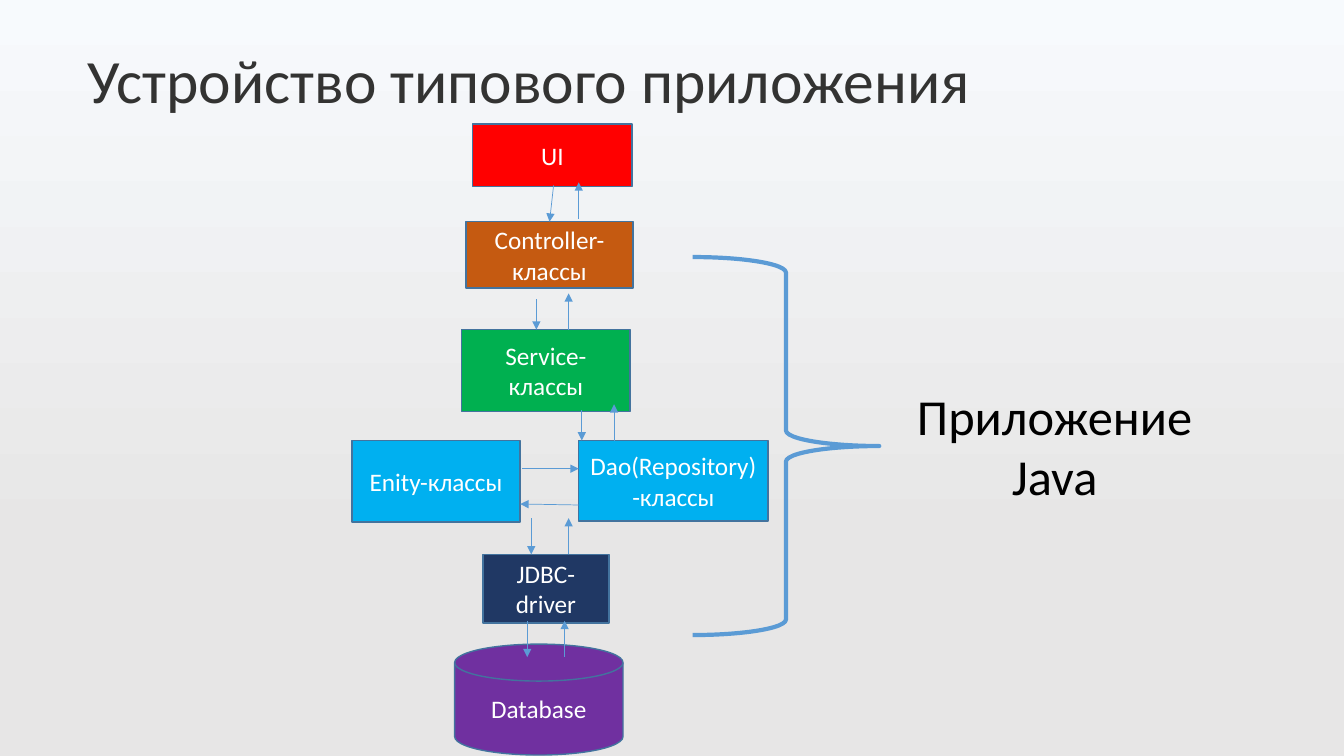
from typing import NamedTuple

from lxml import etree
from pptx import Presentation
from pptx.dml.color import RGBColor
from pptx.enum.shapes import MSO_CONNECTOR, MSO_SHAPE
from pptx.enum.text import MSO_ANCHOR, MSO_AUTO_SIZE, PP_ALIGN
from pptx.oxml.ns import qn
from pptx.util import Inches, Pt

RECT = MSO_SHAPE.RECTANGLE
DISK = MSO_SHAPE.FLOWCHART_MAGNETIC_DISK
BRACE = MSO_SHAPE.RIGHT_BRACE
LINE = MSO_CONNECTOR.STRAIGHT
LEFT, MID = PP_ALIGN.LEFT, PP_ALIGN.CENTER
TOP, CENTER = MSO_ANCHOR.TOP, MSO_ANCHOR.MIDDLE

WHITE = RGBColor(0xFF, 0xFF, 0xFF)
BLACK = RGBColor(0, 0, 0)
INK = RGBColor(0x33, 0x33, 0x32)
EDGE = RGBColor(0x43, 0x73, 0x9E)
BLUE = RGBColor(0x5B, 0x9B, 0xD5)
RED = RGBColor(0xFF, 0, 0)
RUST = RGBColor(0xC5, 0x5A, 0x11)
GREEN = RGBColor(0, 0xB0, 0x50)
SKY = RGBColor(0, 0xB0, 0xF0)
NAVY = RGBColor(0x20, 0x38, 0x64)
PLUM = RGBColor(0x70, 0x30, 0xA0)
PALE = RGBColor(0xF7, 0xFA, 0xFD)
GREY = RGBColor(0xE7, 0xE6, 0xE6)

deck = Presentation()
deck.slide_width, deck.slide_height = Inches(13.33), Inches(7.5)
slide = deck.slides.add_slide(deck.slide_layouts[6])

# The grid: 100 columns by 100 rows
COL, ROW = deck.slide_width / 100, deck.slide_height / 100


class Area(NamedTuple):
    x: float
    y: float
    w: float
    h: float

    def emu(self) -> tuple[int, int, int, int]:
        return (round(self.x * COL), round(self.y * ROW),
                round(self.w * COL), round(self.h * ROW))


class Layer(NamedTuple):
    name: str
    fill: RGBColor
    area: Area
    kind: MSO_SHAPE = RECT


class Arrow(NamedTuple):
    x: float
    y: float
    to_x: float
    to_y: float


def write(shape, text: str, *, size: float = 18, color: RGBColor = WHITE,
          align: PP_ALIGN = MID, anchor: MSO_ANCHOR = CENTER,
          wrap: bool = True, space: float = 1) -> None:
    frame = shape.text_frame
    frame.word_wrap, frame.vertical_anchor = wrap, anchor
    par = frame.paragraphs[0]
    par.text, par.alignment, par.line_spacing = text, align, space
    for run in par.runs:
        run.font.name, run.font.size = "Calibri", Pt(size)
        run.font.color.rgb = color


def draw_layer(layer: Layer) -> None:
    box = slide.shapes.add_shape(layer.kind, *layer.area.emu())
    box.shadow.inherit = False
    box.fill.solid()
    box.fill.fore_color.rgb = layer.fill
    box.line.color.rgb, box.line.width = EDGE, Pt(1)
    write(box, layer.name)


def draw_arrow(arrow: Arrow) -> None:
    link = slide.shapes.add_connector(
        LINE, round(arrow.x * COL), round(arrow.y * ROW),
        round(arrow.to_x * COL), round(arrow.to_y * ROW))
    link.line.color.rgb, link.line.width = BLUE, Pt(0.5)
    etree.SubElement(link.line._get_or_add_ln(), qn("a:tailEnd"), type="triangle")
    etree.SubElement(link._element.spPr, qn("a:effectLst"))


def upward(x: float, y: float) -> Arrow:
    return Arrow(x, y, x, y - STEP)


def downward(x: float, y: float, size: float) -> Arrow:
    return Arrow(x, y, x, y + size)


# Background
back = slide.background.fill
back.gradient()
back.gradient_angle = 270
for stop, color, place in zip(back.gradient_stops, (PALE, GREY), (0, 0.72)):
    stop.color.rgb, stop.position = color, place

# Title
title = slide.shapes.add_textbox(*Area(6.53, 6.67, 71.94, 19.2).emu())
frame = title.text_frame
frame.margin_left = frame.margin_right = frame.margin_top = frame.margin_bottom = 0
write(title, "Устройство типового приложения", size=44, color=INK,
      align=LEFT, anchor=TOP, space=0.9)

# Layers of the application
WIDE, TALL = 12.53, 10.8
LAYERS = [
    Layer("Database", PLUM, Area(33.83, 85.2, WIDE, 14.67), DISK),
    Layer("Enity-классы", SKY, Area(26.18, 58.27, WIDE, TALL)),
    Layer("Dao(Repository)-классы", SKY, Area(43.06, 58.27, 14.1, 10.67)),
    Layer("Service-классы", GREEN, Area(34.36, 43.6, WIDE, TALL)),
    Layer("Controller-классы", RUST, Area(34.66, 29.33, 12.45, 8.8)),
    Layer("UI", RED, Area(35.18, 16.4, 11.85, 8.27)),
    Layer("JDBC-driver", NAVY, Area(35.93, 73.33, 9.38, 9.07)),
]
for layer in LAYERS:
    draw_layer(layer)

# Calls down and replies up between the layers
STEP = 4.8
ARROWS = [
    Arrow(41.19, 24.53, 40.89, 29.33), upward(43.06, 28.93),
    downward(39.91, 39.6, 4), upward(42.31, 43.6),
    downward(43.29, 54.27, 4), upward(45.69, 58.27),
    Arrow(38.86, 62, 43.06, 62), Arrow(43.06, 66.8, 38.71, 66.67),
    downward(39.53, 68.53, STEP), upward(42.31, 73.33),
    downward(39.23, 82.13, STEP), upward(42.01, 86.93),
]
for arrow in ARROWS:
    draw_arrow(arrow)

# Brace and its label
brace = slide.shapes.add_shape(BRACE, *Area(51.54, 34, 13.88, 50).emu())
brace.shadow.inherit = False
brace.fill.background()
brace.line.color.rgb, brace.line.width = BLUE, Pt(3)

label = slide.shapes.add_textbox(*Area(67.37, 50.27, 22.21, 17.47).emu())
write(label, "Приложение\vJava", size=36, color=BLACK, anchor=TOP, wrap=False)
label.text_frame.auto_size = MSO_AUTO_SIZE.SHAPE_TO_FIT_TEXT

deck.save("out.pptx")
